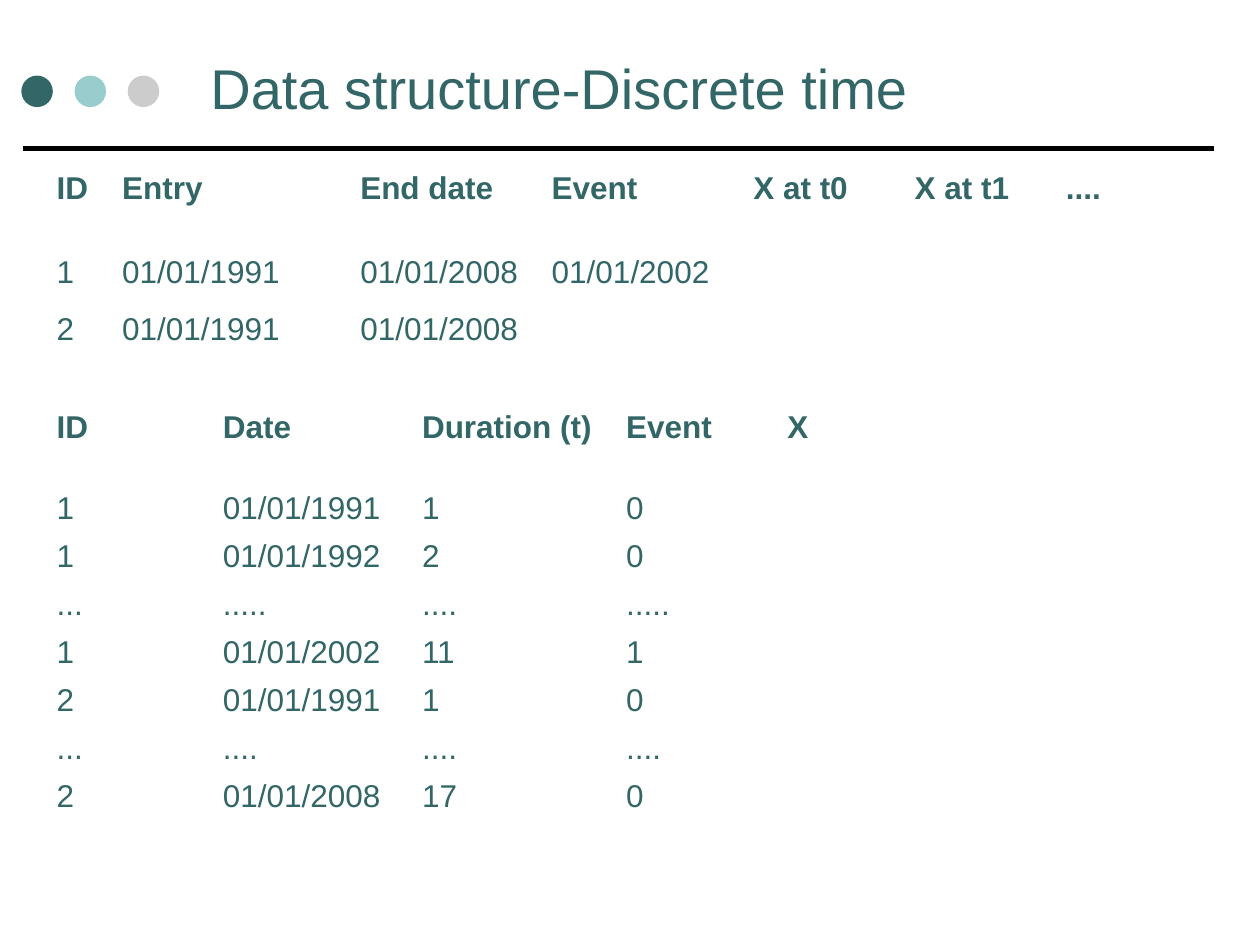
"""Build a slide with two tables that show the data structure for discrete time."""
from pptx import Presentation
from pptx.dml.color import RGBColor
from pptx.enum.shapes import MSO_CONNECTOR as Connector, MSO_SHAPE as Shape
from pptx.enum.text import MSO_ANCHOR as Anchor, PP_ALIGN as Align
from pptx.oxml.ns import qn
from pptx.util import Pt
from lxml.etree import SubElement

TEAL = RGBColor(0x33, 0x66, 0x66)
AQUA = RGBColor(0x99, 0xCC, 0xCC)
GREY = RGBColor(0xCC, 0xCC, 0xCC)
BLACK = RGBColor(0, 0, 0)
WHITE = RGBColor(0xFF, 0xFF, 0xFF)
FONT = "Arial"

TITLE = "Data structure-Discrete time"
TABLES = [
    {
        "top": 94.3,
        "columns": [37.4, 136.1, 109.4, 115.2, 92.2, 86.4, 74.9],
        "rows": [47.5, 33.1, 53.3],
        "striped": False,
        "cells": [
            ["ID", "Entry", "End date", "Event", "X at t0", "X at t1", "...."],
            ["1", "01/01/1991", "01/01/2008", "01/01/2002"],
            ["2", "01/01/1991", "01/01/2008"],
        ],
    },
    {
        "top": 230.4,
        "columns": [95, 113.8, 116.6, 92.2, 73.4, 77, 95],
        "rows": [46.8] + [27.36] * 7,
        "striped": True,
        "cells": [
            ["ID", "Date", "Duration (t)", "Event", "X"],
            ["1", "01/01/1991", "1", "0"],
            ["1", "01/01/1992", "2", "0"],
            ["...", ".....", "....", "....."],
            ["1", "01/01/2002", "11", "1"],
            ["2", "01/01/1991", "1", "0"],
            ["...", "....", "....", "...."],
            ["2", "01/01/2008", "17", "0"],
        ],
    },
]
TABLE_LEFT = 25.2
DOT_LEFT, DOT_TOP, DOT_SIZE, DOT_STEP = 12.2, 43.2, 18, 30.4
RULE_LEFT, RULE_RIGHT, RULE_TOP = 13, 694, 85


def set_font(paragraph, size, bold=False):
    font = paragraph.font
    font.name, font.size, font.bold = FONT, Pt(size), bold
    font.color.rgb = TEAL


def add_header(slide):
    rule = slide.shapes.add_connector(
        Connector.STRAIGHT, Pt(RULE_RIGHT), Pt(RULE_TOP), Pt(RULE_LEFT), Pt(RULE_TOP))
    rule.line.color.rgb = BLACK
    rule.line.width = Pt(3)
    SubElement(rule._element.spPr, qn("a:effectLst"))

    for index, color in enumerate([TEAL, AQUA, GREY]):
        dot = slide.shapes.add_shape(
            Shape.OVAL, Pt(DOT_LEFT + index * DOT_STEP), Pt(DOT_TOP), Pt(DOT_SIZE), Pt(DOT_SIZE))
        dot.shadow.inherit = False
        dot.fill.solid()
        dot.fill.fore_color.rgb = color
        dot.line.fill.background()

    title = slide.shapes.title
    title.left, title.top, title.width, title.height = Pt(113), Pt(14.4), Pt(581), Pt(70.6)
    title.text_frame.text = TITLE
    title.text_frame.vertical_anchor = Anchor.MIDDLE
    paragraph = title.text_frame.paragraphs[0]
    paragraph.alignment = Align.LEFT
    set_font(paragraph, 32)


def add_data_table(slide, data):
    columns, rows = data["columns"], data["rows"]
    table = slide.shapes.add_table(
        len(rows), len(columns), Pt(TABLE_LEFT), Pt(data["top"]),
        Pt(sum(columns)), Pt(sum(rows))).table
    table.horz_banding = False
    for column, width in zip(table.columns, columns):
        column.width = Pt(width)
    for row_index, (row, height) in enumerate(zip(table.rows, rows)):
        row.height = Pt(height)
        texts = data["cells"][row_index]
        for column_index, cell in enumerate(row.cells):
            if data["striped"] and row_index % 2:
                cell.fill.solid()
                cell.fill.fore_color.rgb = WHITE
            else:
                cell.fill.background()
            if column_index < len(texts):
                cell.text = texts[column_index]
            set_font(cell.text_frame.paragraphs[0], 18, bold=row_index == 0)


def main():
    presentation = Presentation()
    presentation.slide_width, presentation.slide_height = Pt(720), Pt(540)
    slide = presentation.slides.add_slide(presentation.slide_layouts[5])
    add_header(slide)
    for data in TABLES:
        add_data_table(slide, data)
    presentation.save("out.pptx")


if __name__ == "__main__":
    main()
